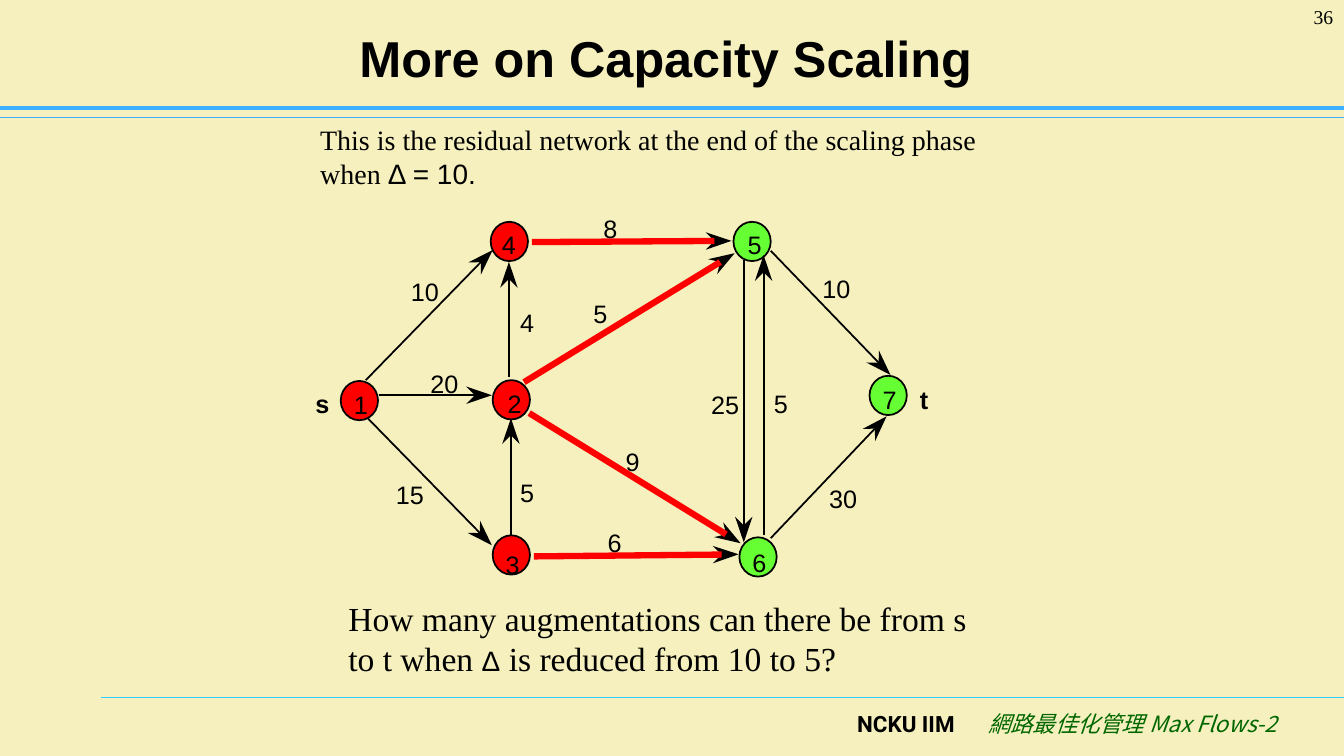
from dataclasses import dataclass
from math import hypot

from lxml.etree import SubElement
from pptx import Presentation
from pptx.dml.color import RGBColor
from pptx.enum.shapes import MSO_CONNECTOR as Connector, MSO_SHAPE as Preset
from pptx.enum.text import MSO_ANCHOR as Anchor, MSO_AUTO_SIZE as AutoSize, PP_ALIGN as Align
from pptx.oxml.ns import qn
from pptx.util import Cm, Pt


@dataclass(frozen=True)
class Theme:
    background: str = "F5F0BD"
    ink: str = "000000"
    source_side: str = "FF0000"
    sink_side: str = "66FF33"
    header_rule: str = "3DB0FF"
    footer_rule: str = "33CCFF"
    footer_text: str = "006600"
    sans: str = "Arial"
    serif: str = "Times New Roman"
    footer_sans: str = "Roboto"
    cjk: str = "Noto Sans CJK SC"
    title_size: int = 36
    question_size: int = 24
    body_size: int = 20
    label_size: int = 18
    footer_size: int = 16
    number_size: int = 14
    thin: float = 1.25
    thick: float = 4.5


THEME = Theme()

# Node name: circle left and top, digit left and top (cm)
SOURCE_NODES = {
    "1": (8.59, 9.6, 8.92, 9.8),
    "2": (12.42, 9.58, 12.8, 9.78),
    "3": (12.42, 13.49, 12.75, 13.84),
    "4": (12.37, 5.59, 12.65, 5.79),
}
SINK_NODES = {
    "5": (18.49, 5.59, 18.85, 5.79),
    "6": (18.64, 13.54, 18.97, 13.79),
    "7": (21.92, 9.47, 22.25, 9.68),
}

# Residual capacity, its place, then start and tip of the arc (cm)
CUT_ARCS = [
    ("8", (15.21, 5.38), (13.41, 6.1), (18.44, 6.07)),
    ("6", (15.32, 13.28), (13.46, 14.02), (18.62, 13.97)),
    ("5", (14.96, 7.52), (13.21, 9.63), (18.52, 6.38)),
    ("9", (15.77, 11.25), (13.34, 10.41), (18.67, 13.69)),
]
OTHER_ARCS = [
    ("10", (20.73, 6.88), (19.43, 6.32), (22.45, 9.45)),
    ("30", (20.9, 12.17), (19.43, 13.56), (22.35, 10.49)),
    ("20", (10.85, 9.27), (9.55, 9.96), (12.4, 9.96)),
    ("10", (10.36, 6.96), (9.22, 9.58), (12.42, 6.3)),
    ("15", (9.98, 12.09), (9.27, 10.54), (12.4, 13.74)),
    ("4", (13.11, 7.75), (12.83, 9.5), (12.83, 6.6)),
    ("5", (13.11, 12.04), (12.88, 13.49), (12.88, 10.54)),
    ("5", (19.51, 9.78), (19.25, 13.49), (19.25, 6.43)),
    ("25", (17.93, 9.8), (18.75, 6.55), (18.75, 13.67)),
]


def rgb(color):
    return RGBColor.from_string(color)


def write(paragraph, text, *, size, font, color=THEME.ink, bold=False, italic=False):
    run = paragraph.add_run()
    run.text = text
    run.font.size = Pt(size)
    run.font.name = font
    run.font.bold = bold
    run.font.italic = italic
    run.font.color.rgb = rgb(color)
    SubElement(run.font._element, qn("a:ea")).set("typeface", font)


class SlideBuilder:
    def __init__(self, slide, theme):
        self.slide = slide
        self.theme = theme
        slide.background.fill.solid()
        slide.background.fill.fore_color.rgb = rgb(theme.background)

    def title(self, text, left, top, width, height):
        title = self.slide.shapes.title
        title.left, title.top, title.width, title.height = map(Cm, (left, top, width, height))
        title.text_frame.vertical_anchor = Anchor.MIDDLE
        paragraph = title.text_frame.paragraphs[0]
        paragraph.alignment = Align.CENTER
        write(paragraph, text, size=self.theme.title_size, font=self.theme.sans, bold=True)

    def text(self, left, top, width, height, align=Align.LEFT):
        """Add a wrapping text box and return its empty paragraph."""
        box = self.slide.shapes.add_textbox(*map(Cm, (left, top, width, height)))
        box.text_frame.word_wrap = True
        paragraph = box.text_frame.paragraphs[0]
        paragraph.alignment = align
        return paragraph

    def label(self, text, left, top, bold=False):
        box = self.slide.shapes.add_textbox(Cm(left), Cm(top), Cm(0.36 * len(text)), Cm(0.76))
        frame = box.text_frame
        frame.margin_left = frame.margin_top = frame.margin_right = frame.margin_bottom = 0
        frame.word_wrap = False
        frame.auto_size = AutoSize.SHAPE_TO_FIT_TEXT
        write(frame.paragraphs[0], text, size=self.theme.label_size, font=self.theme.sans, bold=bold)

    def line(self, start, end, color, weight):
        line = self.slide.shapes.add_connector(Connector.STRAIGHT, *map(Cm, (*start, *end)))
        line.line.color.rgb = rgb(color)
        line.line.width = Pt(weight)
        SubElement(line._element.spPr, qn("a:effectLst"))

    def arc(self, start, tip, color, weight):
        """Draw a barbed arrowhead at the tip and a line up to its notch."""
        length = hypot(tip[0] - start[0], tip[1] - start[1])
        ux, uy = (tip[0] - start[0]) / length, (tip[1] - start[1]) / length

        def behind_tip(back, side):
            return tip[0] - back * ux - side * uy, tip[1] - back * uy + side * ux

        notch = behind_tip(0.43, 0)
        barbs = behind_tip(0.65, 0.22), notch, behind_tip(0.65, -0.22)
        outline = self.slide.shapes.build_freeform(Cm(tip[0]), Cm(tip[1]))
        outline.add_line_segments([(Cm(x), Cm(y)) for x, y in barbs], close=True)
        head = outline.convert_to_shape()
        head.shadow.inherit = False
        head.fill.solid()
        head.fill.fore_color.rgb = rgb(self.theme.ink)
        head.line.fill.background()
        self.line(start, notch, color, weight)

    def node(self, name, place, color):
        left, top, digit_left, digit_top = place
        circle = self.slide.shapes.add_shape(Preset.OVAL, Cm(left), Cm(top), Cm(0.94), Cm(0.99))
        circle.shadow.inherit = False
        circle.fill.solid()
        circle.fill.fore_color.rgb = rgb(color)
        circle.line.color.rgb = rgb(self.theme.ink)
        circle.line.width = Pt(self.theme.thin)
        self.label(name, digit_left, digit_top)


def main():
    deck = Presentation()
    deck.slide_width, deck.slide_height = Cm(33.88), Cm(19.05)
    page = SlideBuilder(deck.slides.add_slide(deck.slide_layouts[5]), THEME)

    page.line((2.54, 17.58), (33.88, 17.58), THEME.footer_rule, 0.75)
    page.line((0, 2.95), (33.88, 2.95), THEME.header_rule, 0.75)
    page.line((0, 2.72), (33.88, 2.72), THEME.header_rule, 2.5)

    footer = page.text(21.36, 17.78, 11.5, 1.27)
    tabs = SubElement(footer._p.get_or_add_pPr(), qn("a:tabLst"))
    SubElement(tabs, qn("a:tab"), pos=str(Cm(3.3)), algn="l")
    write(footer, "NCKU IIM\t", size=THEME.footer_size, font=THEME.footer_sans, bold=True)
    write(footer, "網路最佳化管理 Max Flows-2", size=THEME.footer_size, font=THEME.cjk,
          color=THEME.footer_text, italic=True)

    page.title("More on Capacity Scaling", 1.55, 0.33, 30.48, 2.21)
    number = page.text(31.04, 0, 2.82, 1.27, Align.RIGHT)
    write(number, "36", size=THEME.number_size, font=THEME.serif)

    for nodes, color in ((SOURCE_NODES, THEME.source_side), (SINK_NODES, THEME.sink_side)):
        for name, place in nodes.items():
            page.node(name, place, color)

    for arcs, color, weight in ((CUT_ARCS, THEME.source_side, THEME.thick),
                                (OTHER_ARCS, THEME.ink, THEME.thin)):
        for capacity, place, start, tip in arcs:
            page.arc(start, tip, color, weight)
            page.label(capacity, *place)
    page.label("s", 7.95, 9.78, bold=True)
    page.label("t", 23.19, 9.68, bold=True)

    intro = page.text(7.82, 2.97, 18.42, 1.96)
    write(intro, "This is the residual network at the end of the scaling phase when ",
          size=THEME.body_size, font=THEME.serif)
    write(intro, "Δ = 10.", size=THEME.body_size, font=THEME.sans)

    question = page.text(8.53, 14.94, 16.51, 2.29)
    write(question, "How many augmentations can there be from s to t when ",
          size=THEME.question_size, font=THEME.serif)
    write(question, "Δ", size=THEME.body_size, font=THEME.sans)
    write(question, " is reduced from 10 to 5?", size=THEME.question_size, font=THEME.serif)

    deck.save("out.pptx")


if __name__ == "__main__":
    main()
